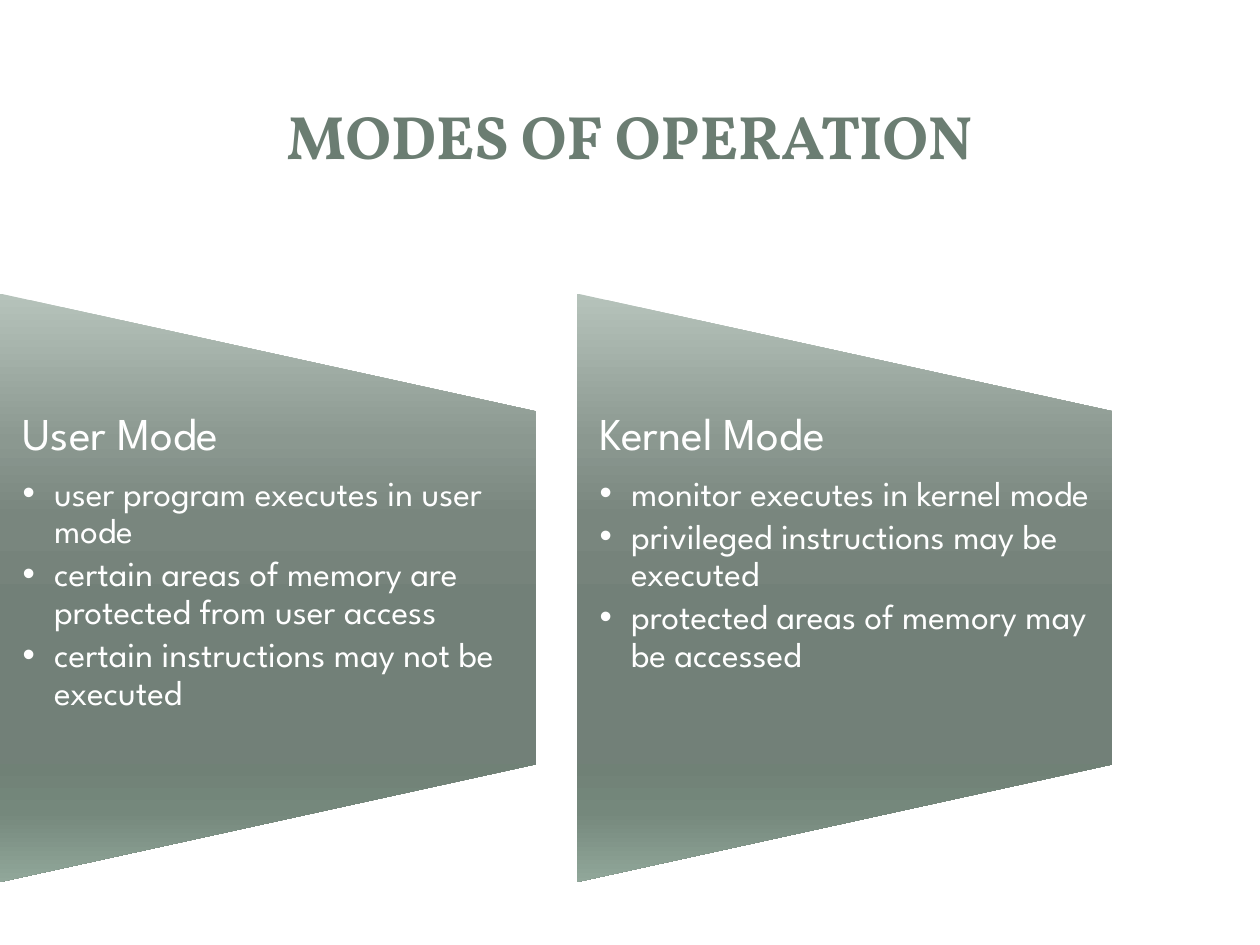
import pptx
import pptx.dml.color
import pptx.enum.shapes
import pptx.enum.text
import pptx.oxml.ns
import pptx.util
from lxml import etree

WIDTH, HEIGHT = 10, 7.5
COLUMN_WIDTH, COLUMN_PITCH = 4.25, 4.58
PANEL_TOP, PANEL_HEIGHT = 2.33, 4.67
LIST_TOP, LIST_HEIGHT = 3.26, 2.8
GRADIENT = [(0, "B6C3BB"), (25, "8B9890"), (38, "79867E"), (55, "728078"),
            (80, "708176"), (88, "75887C"), (100, "91A79A")]
MODES = [
    ("User Mode", ["user program executes in user mode",
                   "certain areas of memory are protected from user access",
                   "certain instructions may not be executed"]),
    ("Kernel Mode", ["monitor executes in kernel mode",
                     "privileged instructions may be executed",
                     "protected areas of memory may be accessed"]),
]


def color(value):
    return pptx.dml.color.RGBColor.from_string(value)


def place(shape, left, top, width, height):
    shape.left, shape.top, shape.width, shape.height = (
        pptx.util.Inches(length) for length in (left, top, width, height))


def add_child(parent, tag, **attributes):
    return etree.SubElement(parent, pptx.oxml.ns.qn(tag), **attributes)


def add_run(paragraph, text, font, size, value, bold=False):
    run = paragraph.add_run()
    run.text = text
    run.font.name = font
    run.font.size = pptx.util.Pt(size)
    run.font.bold = bold
    run.font.color.rgb = color(value)


def add_plain_shape(slide, kind, left, top, width, height):
    shape = slide.shapes.add_shape(kind, 0, 0, 0, 0)
    place(shape, left, top, width, height)
    shape.shadow.inherit = False
    shape.line.fill.background()
    return shape


def add_plate(slide, kind, margin, top, height, opacity=100):
    plate = add_plain_shape(slide, kind, margin, top, WIDTH - 2 * margin, height)
    plate.fill.solid()
    plate.fill.fore_color.rgb = color("FFFFFF")
    if opacity < 100:
        fill = plate._element.spPr.find(pptx.oxml.ns.qn("a:solidFill"))
        add_child(fill[0], "a:alpha", val=str(opacity * 1000))
    return plate


def add_background(slide):
    shapes = pptx.enum.shapes.MSO_SHAPE
    page = add_plate(slide, shapes.ROUNDED_RECTANGLE, 0.1, 0.11, 7.29)
    page.adjustments[0] = 0.017
    add_plate(slide, shapes.RECTANGLE, 0.3, 0.3, 1.45, opacity=83)
    add_plate(slide, shapes.RECTANGLE, 0.41, 0.41, 1.22)


def fill_gradient(shape):
    shape.fill.gradient()
    shape.fill.gradient_angle = 270
    gradient = shape._element.spPr.find(pptx.oxml.ns.qn("a:gradFill"))
    gradient.set("rotWithShape", "0")
    stops = gradient.find(pptx.oxml.ns.qn("a:gsLst"))
    for stop in list(stops):
        stops.remove(stop)
    for position, value in GRADIENT:
        stop = add_child(stops, "a:gs", pos=str(position * 1000))
        add_child(stop, "a:srgbClr", val=value)


def add_panel(slide, left):
    middle_x = left + COLUMN_WIDTH / 2
    middle_y = PANEL_TOP + PANEL_HEIGHT / 2
    panel = add_plain_shape(
        slide, pptx.enum.shapes.MSO_SHAPE.FLOWCHART_MANUAL_OPERATION,
        middle_x - PANEL_HEIGHT / 2, middle_y - COLUMN_WIDTH / 2,
        PANEL_HEIGHT, COLUMN_WIDTH)
    panel.rotation = 270
    fill_gradient(panel)


def bring_to_front(slide, shape):
    slide.shapes._spTree.append(shape._element)


def format_paragraph(paragraph, space_after, margin, bullet=None):
    paragraph.alignment = pptx.enum.text.PP_ALIGN.LEFT
    paragraph.line_spacing = 0.9
    paragraph.space_before = pptx.util.Pt(0)
    paragraph.space_after = pptx.util.Pt(space_after)
    properties = paragraph._p.get_or_add_pPr()
    properties.set("marL", str(pptx.util.Inches(margin)))
    properties.set("indent", str(pptx.util.Inches(-margin)))
    if bullet:
        add_child(properties, "a:buChar", char=bullet)
    else:
        add_child(properties, "a:buNone")


def fill_list(slide, body, left, heading, items):
    place(body, left, LIST_TOP, COLUMN_WIDTH, LIST_HEIGHT)
    bring_to_front(slide, body)
    frame = body.text_frame
    frame.word_wrap = True
    frame.auto_size = pptx.enum.text.MSO_AUTO_SIZE.NONE
    frame.vertical_anchor = pptx.enum.text.MSO_ANCHOR.TOP
    frame.margin_left = frame.margin_right = pptx.util.Inches(0.18)
    frame.margin_top = frame.margin_bottom = 0
    paragraph = frame.paragraphs[0]
    format_paragraph(paragraph, 9.1, 0)
    add_run(paragraph, heading, "League Spartan", 26, "FFFFFF")
    for item in items:
        paragraph = frame.add_paragraph()
        paragraph.level = 1
        format_paragraph(paragraph, 3, 0.25, "•")
        add_run(paragraph, item, "League Spartan", 20, "FFFFFF")


def fill_title(slide, text):
    title = slide.shapes.title
    place(title, 0.72, 0.49, WIDTH - 2 * 0.72, 1.17)
    bring_to_front(slide, title)
    frame = title.text_frame
    frame.auto_size = pptx.enum.text.MSO_AUTO_SIZE.NONE
    frame.vertical_anchor = pptx.enum.text.MSO_ANCHOR.MIDDLE
    paragraph = frame.paragraphs[0]
    paragraph.alignment = pptx.enum.text.PP_ALIGN.CENTER
    add_run(paragraph, text, "Vollkorn", 35, "6B7D72", bold=True)


def main():
    presentation = pptx.Presentation()
    presentation.slide_width = pptx.util.Inches(WIDTH)
    presentation.slide_height = pptx.util.Inches(HEIGHT)
    slide = presentation.slides.add_slide(presentation.slide_layouts[3])
    bodies = [slide.placeholders[1], slide.placeholders[2]]
    add_background(slide)
    fill_title(slide, "MODES OF OPERATION")
    for column, (body, (heading, items)) in enumerate(zip(bodies, MODES)):
        left = column * COLUMN_PITCH
        add_panel(slide, left)
        fill_list(slide, body, left, heading, items)
    presentation.save("out.pptx")


if __name__ == "__main__":
    main()
